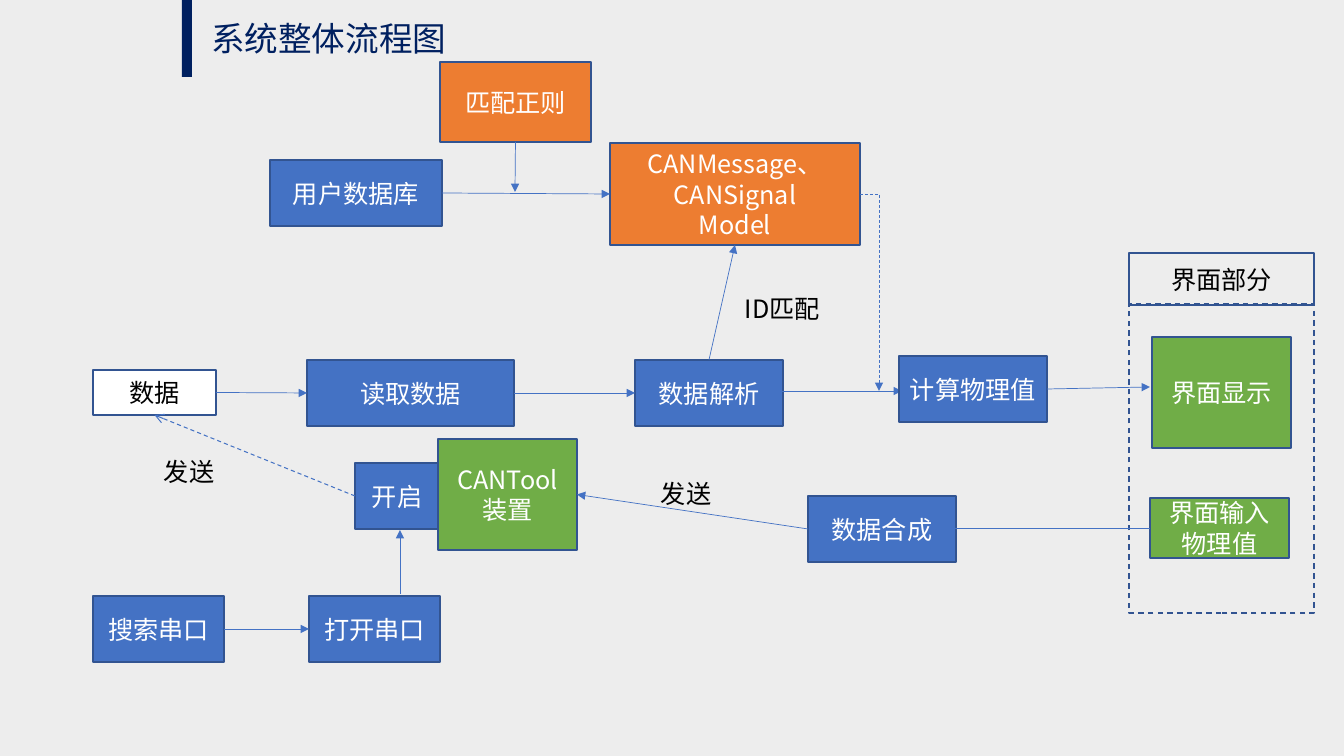
from lxml import etree
from pptx import Presentation
from pptx.dml.color import RGBColor
from pptx.enum.dml import MSO_LINE
from pptx.enum.shapes import MSO_CONNECTOR, MSO_SHAPE
from pptx.enum.text import MSO_ANCHOR, MSO_AUTO_SIZE, PP_ALIGN
from pptx.oxml.ns import qn
from pptx.util import Emu, Pt

RECT = MSO_SHAPE.RECTANGLE
STRAIGHT, ELBOW = MSO_CONNECTOR.STRAIGHT, MSO_CONNECTOR.ELBOW
DASH = MSO_LINE.DASH
LEFT, CENTER = PP_ALIGN.LEFT, PP_ALIGN.CENTER
TOP_ANCHOR, MIDDLE = MSO_ANCHOR.TOP, MSO_ANCHOR.MIDDLE
NO_FIT = MSO_AUTO_SIZE.NONE
TOP, WEST, BOTTOM, EAST = range(4)

NAVY = RGBColor(0x00, 0x20, 0x60)
BLUE = RGBColor(0x44, 0x72, 0xC4)
EDGE = RGBColor(0x32, 0x54, 0x91)
ORANGE = RGBColor(0xED, 0x7D, 0x31)
GREEN = RGBColor(0x70, 0xAD, 0x47)
GRAY = RGBColor(0xED, 0xED, 0xED)
WHITE = RGBColor(0xFF, 0xFF, 0xFF)
BLACK = RGBColor(0x00, 0x00, 0x00)
FONT = "Noto Sans CJK SC"
PX_PER_INCH = 100.8


def px(*values):
    return [Emu(round(v * 914400 / PX_PER_INCH)) for v in values]


def write(tf, text, size=18, color=WHITE, align=CENTER, anchor=MIDDLE):
    tf.word_wrap = True
    tf.auto_size = NO_FIT
    tf.vertical_anchor = anchor
    for i, line in enumerate(text.split("\n")):
        p = tf.add_paragraph() if i else tf.paragraphs[0]
        p.alignment = align
        r = p.add_run()
        r.text = line
        r.font.size = Pt(size)
        r.font.color.rgb = color
        r.font.name = FONT
        ea = etree.SubElement(r._r.get_or_add_rPr(), qn("a:ea"))
        ea.set("typeface", FONT)


class FlowSlide:
    def __init__(self, prs):
        self.s = prs.slides.add_slide(prs.slide_layouts[5])
        fill = self.s.background.fill
        fill.solid()
        fill.fore_color.rgb = GRAY

    def title(self, text, *at):
        sp = self.s.shapes.title
        sp.left, sp.top, sp.width, sp.height = px(*at)
        sp.fill.solid()
        sp.fill.fore_color.rgb = GRAY
        write(sp.text_frame, text, 24, NAVY, LEFT, TOP_ANCHOR)

    def box(self, text, *at, fill=BLUE, line=EDGE, color=WHITE, dash=None):
        sp = self.s.shapes.add_shape(RECT, *px(*at))
        sp.shadow.inherit = False
        if fill is None:
            sp.fill.background()
        else:
            sp.fill.solid()
            sp.fill.fore_color.rgb = fill
        if line is None:
            sp.line.fill.background()
        else:
            sp.line.color.rgb = line
            sp.line.width = Pt(1)
            sp.line.dash_style = dash
        if text:
            write(sp.text_frame, text, color=color)
        return sp

    def label(self, text, *at):
        sp = self.s.shapes.add_textbox(*px(*at))
        write(sp.text_frame, text, color=BLACK, align=LEFT, anchor=TOP_ANCHOR)

    def arrow(self, start, end, kind=STRAIGHT, width=0.5, dash=None, head="triangle"):
        points = [p if isinstance(p[0], int) else (0, 0) for p in (start, end)]
        c = self.s.shapes.add_connector(kind, *px(*points[0], *points[1]))
        if not isinstance(start[0], int):
            c.begin_connect(*start)
        if not isinstance(end[0], int):
            c.end_connect(*end)
        c.line.color.rgb = BLUE
        c.line.width = Pt(width)
        c.line.dash_style = dash
        tail = etree.SubElement(c.line._get_or_add_ln(), qn("a:tailEnd"))
        tail.set("type", head)
        spPr = c._element.spPr
        etree.SubElement(spPr, qn("a:effectLst"))
        if kind == ELBOW:
            spPr.find(qn("a:prstGeom")).set("prst", "bentConnector2")


def main():
    prs = Presentation()
    prs.slide_width, prs.slide_height = px(1344, 756)
    flow = FlowSlide(prs)

    flow.box("", 182, 0, 10, 77, fill=NAVY, line=None)
    flow.title("系统整体流程图", 201, 13, 301, 50)

    data = flow.box("数据", 93, 370, 123, 45, fill=WHITE, color=BLACK)
    read = flow.box("读取数据", 307, 360, 207, 66)
    parser = flow.box("数据解析", 635, 360, 148, 66)
    regex = flow.box("匹配正则", 440, 62, 151, 80, fill=ORANGE)
    model = flow.box("CANMessage、CANSignal\nModel", 610, 143, 250, 102, fill=ORANGE)
    database = flow.box("用户数据库", 270, 160, 172, 66)
    search = flow.box("搜索串口", 93, 596, 131, 66)
    port = flow.box("打开串口", 309, 596, 131, 66)
    start = flow.box("开启", 355, 463, 84, 66)
    flow.arrow((781, 391), (902, 391))
    calc = flow.box("计算物理值", 899, 356, 148, 66)
    flow.box("界面显示", 1152, 337, 139, 111, fill=GREEN)
    entry = flow.box("界面输入物理值", 1150, 498, 139, 60, fill=GREEN)
    flow.box("", 1129, 304, 185, 309, fill=None, dash=DASH)
    flow.box("界面部分", 1129, 253, 185, 52, fill=None, color=BLACK)
    compose = flow.box("数据合成", 808, 496, 148, 66)
    device = flow.box("CANTool装置", 438, 439, 139, 111, fill=GREEN)

    for source, target in (
        ((data, EAST), (read, WEST)),
        ((read, EAST), (parser, WEST)),
        ((parser, TOP), (model, BOTTOM)),
        ((database, EAST), (model, WEST)),
        ((regex, BOTTOM), (515, 192)),
        ((search, EAST), (port, WEST)),
        ((400, 594), (400, 530)),
        ((calc, EAST), (1150, 387)),
        ((entry, WEST), (932, 528)),
        ((compose, WEST), (device, EAST)),
    ):
        flow.arrow(source, target)
    flow.arrow((start, WEST), (data, BOTTOM), width=0.75, dash=DASH, head="arrow")
    flow.arrow((model, EAST), (879, 391), kind=ELBOW, dash=DASH)

    flow.label("发送", 154, 451, 89, 40)
    flow.label("ID匹配", 735, 288, 110, 40)
    flow.label("发送", 651, 473, 89, 40)

    prs.save("out.pptx")


if __name__ == "__main__":
    main()
